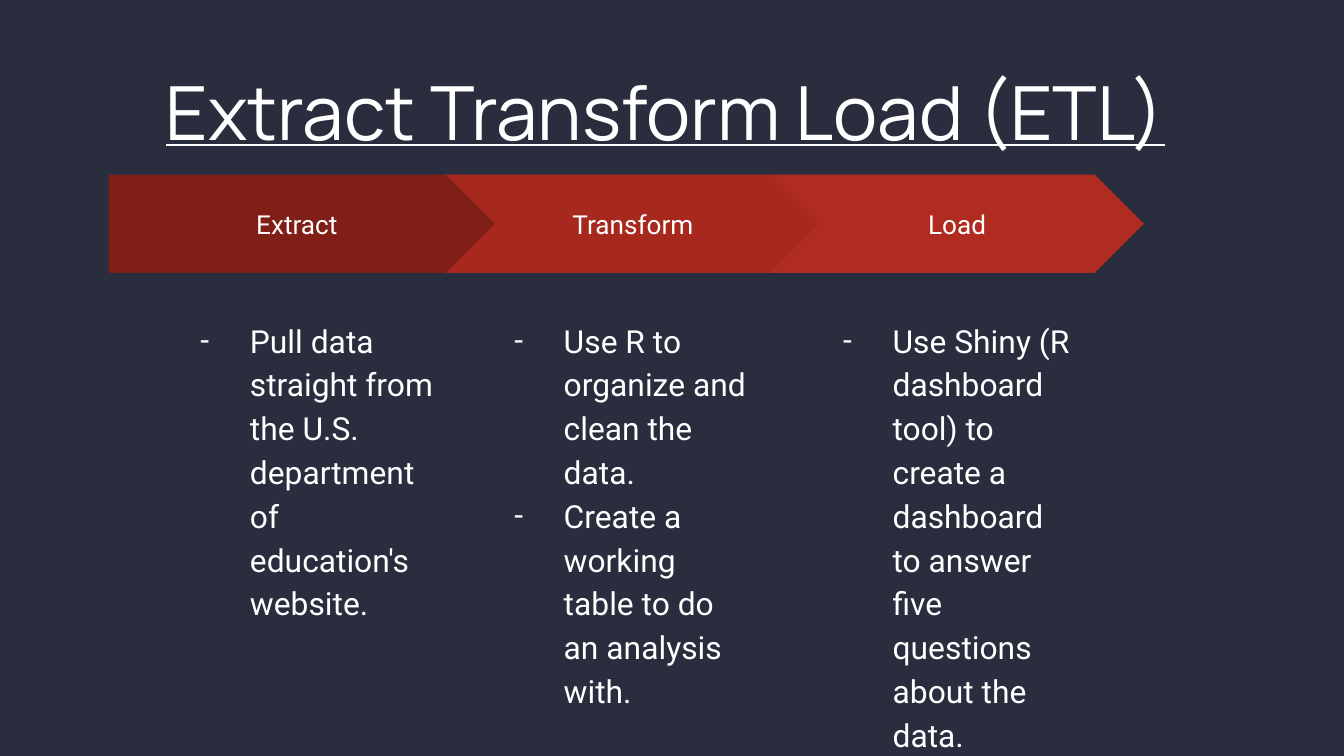
"""Build a slide showing the three steps of extract, transform and load."""
from dataclasses import dataclass

from lxml import etree
from pptx import Presentation
from pptx.dml.color import RGBColor
from pptx.enum import shapes as sh, text as tx
from pptx.oxml import ns
from pptx.util import Length, Pt

NAVY = RGBColor(0x29, 0x2D, 0x3E)
WHITE = RGBColor(0xFF, 0xFF, 0xFF)
MAROON = RGBColor(0x80, 0x1F, 0x17)
BRICK = RGBColor(0xA7, 0x29, 0x1E)
RED = RGBColor(0xB0, 0x2B, 0x20)
PAD = Pt(7.2)


@dataclass
class Step:
    name: str
    kind: sh.MSO_SHAPE
    fill: RGBColor
    left: Length
    width: Length
    slot: int
    inset: Length
    items: list[str]


STEPS = [
    Step("Extract", sh.MSO_SHAPE.PENTAGON, MAROON, Pt(58.3), Pt(214.6), 1, Pt(90.7),
         ["Pull data straight from the U.S. department of education's website."]),
    Step("Transform", sh.MSO_SHAPE.CHEVRON, BRICK, Pt(239), Pt(200.2), 2, Pt(258.8),
         ["Use R to organize and clean the data.",
          "Create a working table to do an analysis with."]),
    Step("Load", sh.MSO_SHAPE.CHEVRON, RED, Pt(412.6), Pt(200.2), 3, Pt(435),
         ["Use Shiny (R dashboard tool) to create a dashboard "
          "to answer five questions about the data."]),
]


def place(shape, left: Length, top: Length, width: Length, height: Length) -> None:
    shape.left, shape.top, shape.width, shape.height = left, top, width, height


def style(para, face: str, size: int) -> None:
    font = para.font
    font.name, font.size, font.bold = face, Pt(size), False
    font.color.rgb = WHITE


def setup(frame, anchor: tx.MSO_ANCHOR, pad: Length) -> None:
    frame.word_wrap = True
    frame.auto_size = tx.MSO_AUTO_SIZE.NONE
    frame.vertical_anchor = anchor
    frame.margin_left = frame.margin_top = frame.margin_bottom = pad
    frame.margin_right = PAD


def dash(para) -> None:
    props = para._p.get_or_add_pPr()
    props.set("marL", str(Pt(36)))
    props.set("indent", str(Pt(-26.5)))
    color = etree.SubElement(props, ns.qn("a:buClr"))
    etree.SubElement(color, ns.qn("a:srgbClr"), val=str(WHITE))
    etree.SubElement(props, ns.qn("a:buFont"), typeface="Roboto")
    etree.SubElement(props, ns.qn("a:buChar"), char="-")


def head(slide, words: str) -> None:
    title = slide.shapes.title
    place(title, Pt(24.5), Pt(35.3), Pt(671), Pt(45.4))
    setup(title.text_frame, tx.MSO_ANCHOR.TOP, Pt(0))
    title.text_frame.text = words
    para = title.text_frame.paragraphs[0]
    para.alignment = tx.PP_ALIGN.CENTER
    style(para, "Manrope", 40)
    para.runs[0].font.underline = True


def arrow(slide, step: Step) -> None:
    shape = slide.shapes.add_shape(step.kind, step.left, Pt(93.6), step.width, Pt(52.6))
    shape.shadow.inherit = False
    shape.fill.solid()
    shape.fill.fore_color.rgb = step.fill
    shape.line.fill.background()
    setup(shape.text_frame, tx.MSO_ANCHOR.MIDDLE, PAD)
    shape.text_frame.text = step.name
    para = shape.text_frame.paragraphs[0]
    para.alignment = tx.PP_ALIGN.CENTER
    style(para, "Roboto", 14)


def notes(slide, step: Step) -> None:
    body = slide.placeholders[step.slot]
    place(body, step.inset, Pt(162), Pt(149.8), Pt(206))
    setup(body.text_frame, tx.MSO_ANCHOR.TOP, PAD)
    body.text_frame.text = "\n".join(step.items)
    for para in body.text_frame.paragraphs:
        para.line_spacing = 1.15
        para.space_before = Pt(0)
        style(para, "Roboto", 17)
        dash(para)


def main() -> None:
    deck = Presentation()
    deck.slide_width, deck.slide_height = Pt(720), Pt(405)
    slide = deck.slides.add_slide(deck.slide_layouts.get_by_name("Comparison"))
    slide.background.fill.solid()
    slide.background.fill.fore_color.rgb = NAVY
    head(slide, "Extract Transform Load (ETL)")
    for step in STEPS:
        arrow(slide, step)
        notes(slide, step)
    spare = slide.placeholders[4].element
    spare.getparent().remove(spare)
    deck.save("out.pptx")


if __name__ == "__main__":
    main()
